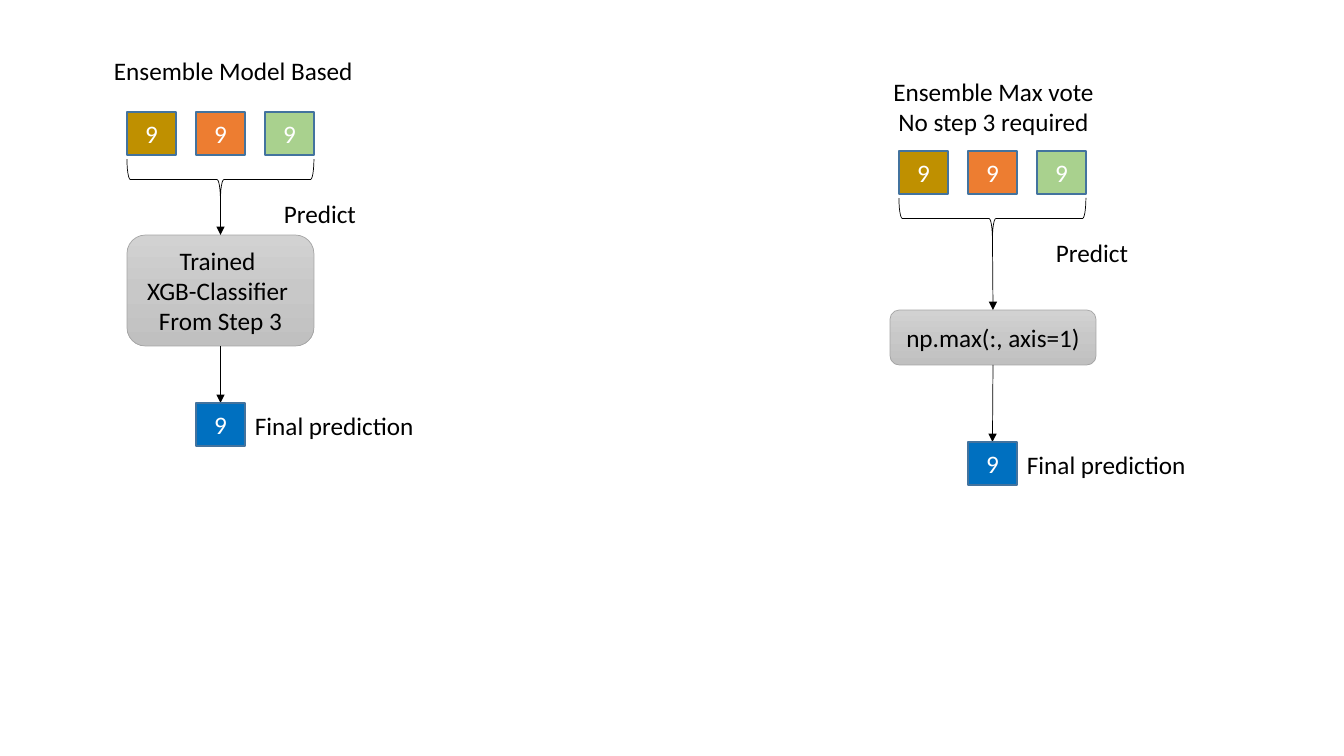
from copy import deepcopy
from dataclasses import dataclass

from lxml.etree import SubElement
from pptx import Presentation
from pptx.dml.color import RGBColor
from pptx.enum.shapes import MSO_CONNECTOR, MSO_SHAPE as SHAPE
from pptx.enum.text import MSO_ANCHOR as ANCHOR, MSO_AUTO_SIZE as AUTO_SIZE, PP_ALIGN as ALIGN
from pptx.oxml.ns import qn
from pptx.util import Pt


@dataclass(frozen=True)
class Theme:
    font: str = "Calibri"
    size: int = 18
    ink: str = "000000"
    tile_ink: str = "FFFFFF"
    tile_line: str = "43739E"
    model_line: str = "A5A5A5"
    model_fill: tuple = ("D2D2D2", "C8C8C8", "C0C0C0")
    votes: tuple = ("BF9000", "ED7D31", "A9D18E")
    result: str = "0070C0"
    tile_width: float = 1
    thin_width: float = 0.5


THEME = Theme()
DIGIT = "9"
PANELS = [
    {
        "origin": (127, 112),
        "heading": ["Ensemble Model Based"],
        "heading_box": (104, 50, 261, 40),
        "heading_align": ALIGN.LEFT,
        "model": ["Trained ", "XGB-Classifier ", "From Step 3"],
        "model_box": (127, 235, 187, 111),
        "result_top": 403,
    },
    {
        "origin": (899, 151),
        "heading": ["Ensemble Max vote", "No step 3 required"],
        "heading_box": (882, 71, 223, 72),
        "heading_align": ALIGN.CENTER,
        "model": ["np.max(:, axis=1)"],
        "model_box": (890, 310, 206, 55),
        "result_top": 442,
    },
]
TILE_WIDTH, TILE_HEIGHT, TILE_PITCH = 49, 43, 69
BRACE_GAP, BRACE_DEPTH = 4, 41
SCALE = 914400 / 100.8


def emu(*pixels):
    return [round(pixel * SCALE) for pixel in pixels]


def color(value):
    return RGBColor.from_string(value)


def write(shape, lines, ink=THEME.ink, align=ALIGN.CENTER, anchor=ANCHOR.MIDDLE, wrap=True):
    frame = shape.text_frame
    frame.word_wrap = wrap
    frame.vertical_anchor = anchor
    for index, line in enumerate(lines):
        paragraph = frame.add_paragraph() if index else frame.paragraphs[0]
        paragraph.alignment = align
        run = paragraph.add_run()
        run.text = line
        run.font.name = THEME.font
        run.font.size = Pt(THEME.size)
        run.font.color.rgb = color(ink)


def add_label(slide, box, lines, align=ALIGN.LEFT, wrap=False):
    label = slide.shapes.add_textbox(*emu(*box))
    write(label, lines, align=align, anchor=ANCHOR.TOP, wrap=wrap)
    label.text_frame.auto_size = AUTO_SIZE.SHAPE_TO_FIT_TEXT


def add_outlined(slide, kind, box, line, width):
    shape = slide.shapes.add_shape(kind, *emu(*box))
    shape.shadow.inherit = False
    shape.line.color.rgb = color(line)
    shape.line.width = Pt(width)
    return shape


def add_tile(slide, left, top, fill):
    box = (left, top, TILE_WIDTH, TILE_HEIGHT)
    tile = add_outlined(slide, SHAPE.RECTANGLE, box, THEME.tile_line, THEME.tile_width)
    tile.fill.solid()
    tile.fill.fore_color.rgb = color(fill)
    write(tile, [DIGIT], ink=THEME.tile_ink)


def add_model(slide, box, lines):
    model = add_outlined(slide, SHAPE.ROUNDED_RECTANGLE, box, THEME.model_line, THEME.thin_width)
    model.fill.gradient()
    model.fill.gradient_angle = 270
    first = model._element.xpath(".//a:gs")[0]
    first.addnext(deepcopy(first))
    for stop, position, value in zip(model.fill.gradient_stops, (0, 0.5, 1), THEME.model_fill):
        stop.position = position
        stop.color.rgb = color(value)
    write(model, lines)


def add_brace(slide, center, top, span):
    box = (center - BRACE_DEPTH / 2, top + (BRACE_DEPTH - span) / 2, BRACE_DEPTH, span)
    brace = add_outlined(slide, SHAPE.LEFT_BRACE, box, THEME.ink, THEME.thin_width)
    brace.fill.background()
    brace.rotation = 270


def add_arrow(slide, start, end):
    arrow = slide.shapes.add_connector(MSO_CONNECTOR.STRAIGHT, *emu(*start, *end))
    arrow.line.color.rgb = color(THEME.ink)
    arrow.line.width = Pt(THEME.thin_width)
    SubElement(arrow.line._get_or_add_ln(), qn("a:tailEnd"), type="triangle")
    SubElement(arrow._element.spPr, qn("a:effectLst"))


def add_panel(slide, panel):
    left, top = panel["origin"]
    span = TILE_PITCH * (len(THEME.votes) - 1) + TILE_WIDTH
    center = left + span / 2
    brace_top = top + TILE_HEIGHT + BRACE_GAP
    brace_bottom = brace_top + BRACE_DEPTH
    model_left, model_top, model_width, model_height = panel["model_box"]
    model_center = model_left + model_width / 2
    result_left, result_top = left + TILE_PITCH, panel["result_top"]

    add_label(slide, panel["heading_box"], panel["heading"], align=panel["heading_align"])
    for index, fill in enumerate(THEME.votes):
        add_tile(slide, left + index * TILE_PITCH, top, fill)
    add_model(slide, panel["model_box"], panel["model"])
    add_brace(slide, center, brace_top, span)
    add_arrow(slide, (center, brace_bottom), (model_center, model_top))
    add_arrow(slide, (model_center, model_top + model_height), (center, result_top))
    add_tile(slide, result_left, result_top, THEME.result)
    add_label(slide, (result_left + TILE_WIDTH, result_top + 2, 186, 40), ["Final prediction"], wrap=True)
    add_label(slide, (left + 147, brace_bottom - 7, 93, 40), ["Predict"])


presentation = Presentation()
presentation.slide_width, presentation.slide_height = emu(1344, 756)
slide = presentation.slides.add_slide(presentation.slide_layouts[6])
for panel in PANELS:
    add_panel(slide, panel)
presentation.save("out.pptx")
